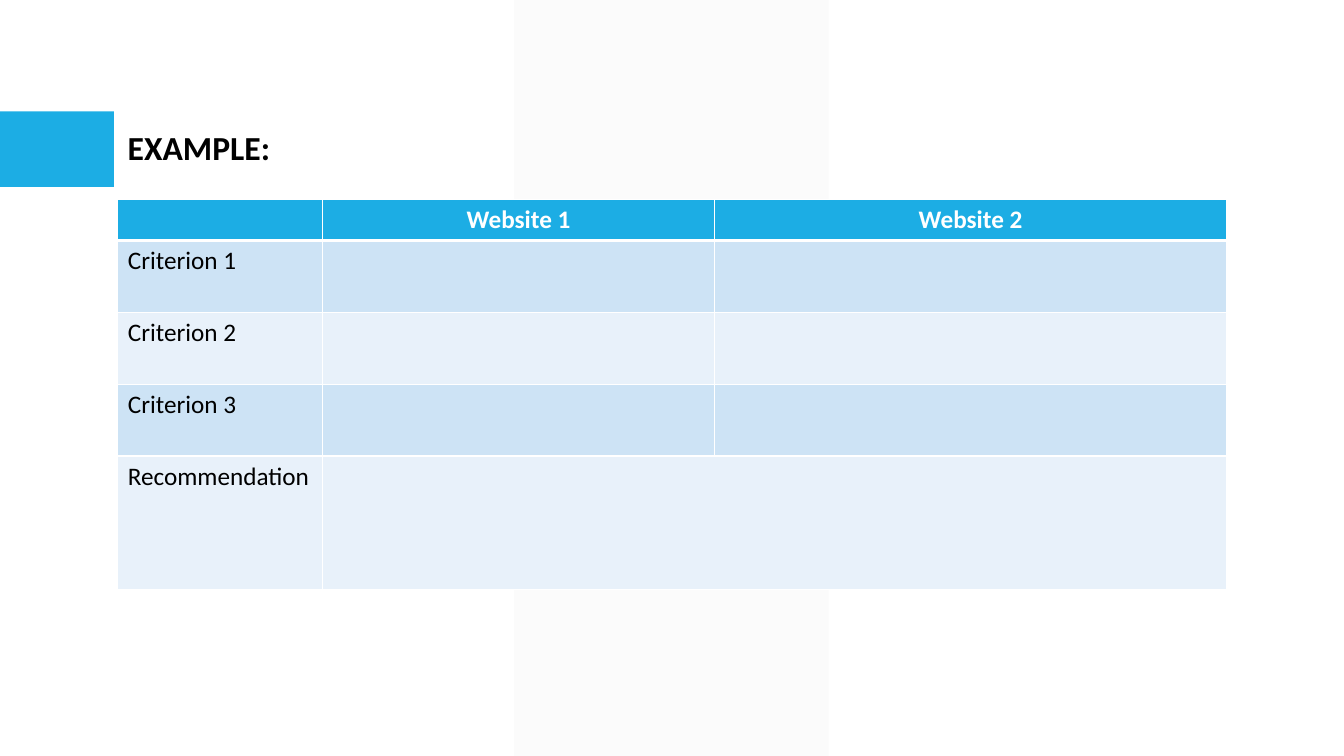
from dataclasses import dataclass

from lxml import etree
from pptx import Presentation
from pptx import util as u
from pptx.dml.color import RGBColor
from pptx.enum import shapes, text
from pptx.oxml import ns


@dataclass(frozen=True)
class Theme:
    """Colours, font and type sizes of the slide."""
    font: str = "Calibri"
    title_size: int = 24
    body_size: int = 18
    accent: str = "1CADE4"
    bands: tuple = ("CDE3F5", "E8F1FA")
    stripe: str = "F2F2F2"
    stripe_alpha: int = 30
    ink: str = "000000"
    paper: str = "FFFFFF"


THEME = Theme()
HEADERS = ["", "Website 1", "Website 2"]
CRITERIA = ["Criterion 1", "Criterion 2", "Criterion 3", "Recommendation"]
COL_WIDTHS = [5.16, 9.88, 12.9]
ROW_HEIGHTS = [1.03, 1.81, 1.81, 1.81, 3.36]


def add_child(parent, tag, **attrs):
    """Append a DrawingML element to parent and return it."""
    return etree.SubElement(parent, ns.qn(f"a:{tag}"), attrs)


def write(tf, words, size=THEME.body_size, color=THEME.ink, bold=False,
          align=text.PP_ALIGN.LEFT):
    """Put one formatted line of text in a text frame."""
    p = tf.paragraphs[0]
    p.alignment = align
    p.font.size = u.Pt(size)
    if words:
        r = p.add_run()
        r.text = words
        r.font.name = THEME.font
        r.font.size = u.Pt(size)
        r.font.bold = bold
        r.font.color.rgb = RGBColor.from_string(color)


def add_block(s, kind, box, color, alpha=100):
    """Add a plain filled shape in box, with alpha as percent opacity."""
    sp = s.shapes.add_shape(kind, *map(u.Cm, box))
    sp.shadow.inherit = False
    sp.line.fill.background()
    sp.fill.solid()
    sp.fill.fore_color.rgb = RGBColor.from_string(color)
    if alpha < 100:
        srgb = sp.fill._xPr.find(".//" + ns.qn("a:srgbClr"))
        add_child(srgb, "alpha", val=str(alpha * 1000))
    return sp


def add_backdrop(s, box):
    """Draw the pale full-height stripe."""
    sp = add_block(s, shapes.MSO_SHAPE.PARALLELOGRAM, box, THEME.stripe,
                   THEME.stripe_alpha)
    sp.adjustments[0] = 0


def add_heading(s, box):
    """Draw the accent tab at the left of box and the title beside it."""
    left, top, width, height = box
    tab = 2.87
    add_block(s, shapes.MSO_SHAPE.RECTANGLE, (left, top, tab, height),
              THEME.accent)
    title = (left + tab + 0.1, top + 0.27, width - tab - 0.1, 1.28)
    tf = s.shapes.add_textbox(*map(u.Cm, title)).text_frame
    tf.word_wrap = True
    write(tf, "EXAMPLE:", size=THEME.title_size, bold=True)


def style_cell(cell, color, **widths):
    """Give a cell its borders (points per side: L, R, T, B) and its fill."""
    tc_pr = cell._tc.get_or_add_tcPr()
    for side in "LRTB":
        ln = add_child(tc_pr, f"ln{side}", w=str(u.Pt(widths.get(side, 1))))
        add_child(add_child(ln, "solidFill"), "srgbClr", val=THEME.paper)
    cell.fill.solid()
    cell.fill.fore_color.rgb = RGBColor.from_string(color)


def add_comparison(s, box):
    """Draw the table of criteria by website, scaled to box."""
    frame = s.shapes.add_table(len(ROW_HEIGHTS), len(COL_WIDTHS),
                               *map(u.Cm, box))
    table = frame.table
    for col, width in zip(table.columns, COL_WIDTHS):
        col.width = u.Cm(width * box[2] / sum(COL_WIDTHS))
    for row, height in zip(table.rows, ROW_HEIGHTS):
        row.height = u.Cm(height * box[3] / sum(ROW_HEIGHTS))

    for cell, words in zip(table.rows[0].cells, HEADERS):
        style_cell(cell, THEME.accent, B=3)
        write(cell.text_frame, words, color=THEME.paper, bold=True,
              align=text.PP_ALIGN.CENTER)
    for i, label in enumerate(CRITERIA):
        for j, cell in enumerate(table.rows[i + 1].cells):
            style_cell(cell, THEME.bands[i % 2], T=1 if i else 3)
            write(cell.text_frame, "" if j else label)
    last = len(CRITERIA)
    table.cell(last, 1).merge(table.cell(last, 2))


def build_slide(prs):
    """Add the comparison slide."""
    s = prs.slides.add_slide(prs.slide_layouts[6])
    add_backdrop(s, (12.96, 0, 7.92, 19.05))
    add_heading(s, (0, 2.81, 9.07, 1.9))
    add_comparison(s, (2.97, 5.03, sum(COL_WIDTHS), sum(ROW_HEIGHTS)))


prs = Presentation()
prs.slide_width, prs.slide_height = u.Cm(33.87), u.Cm(19.05)
build_slide(prs)
prs.save("out.pptx")
